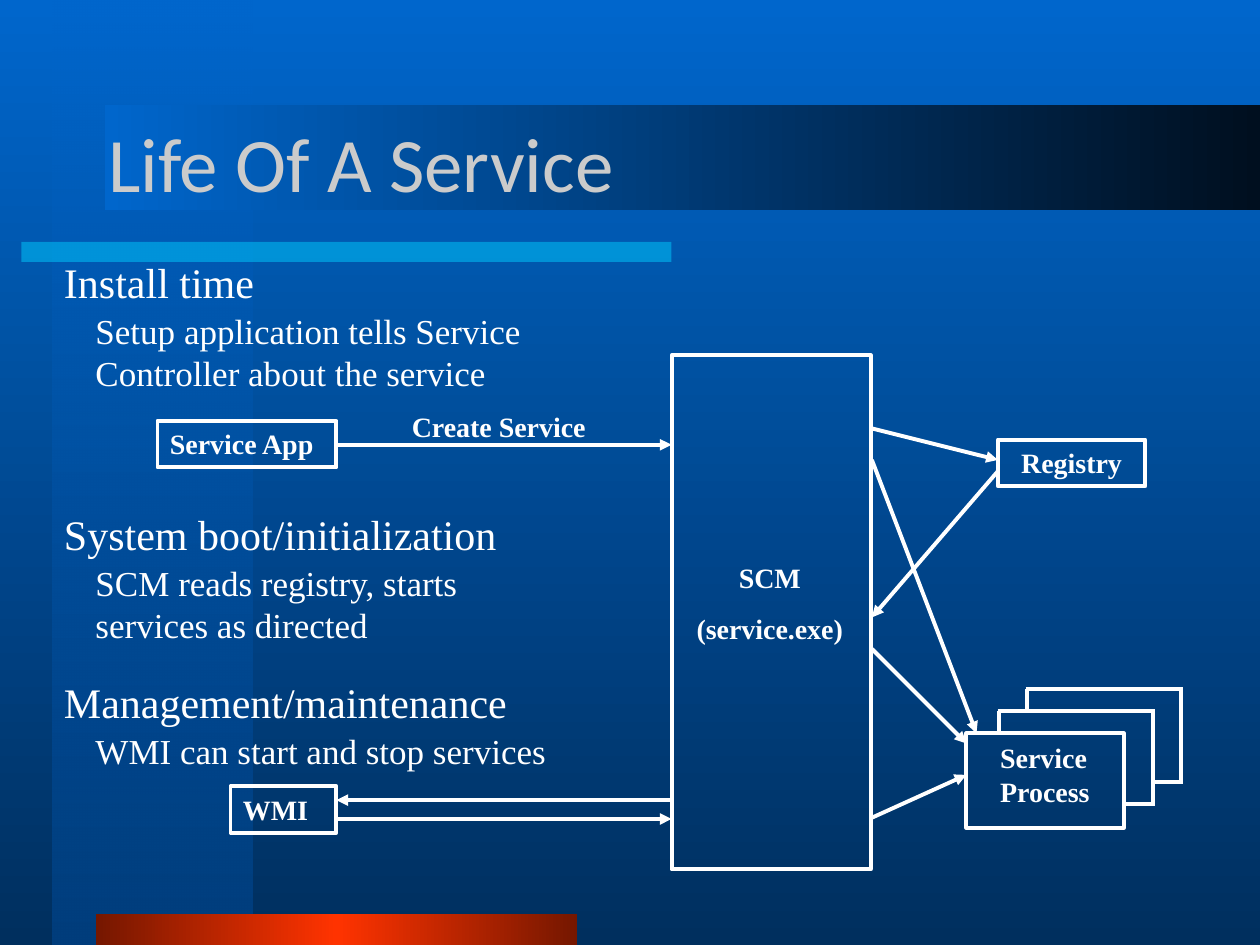
from lxml.etree import SubElement
from pptx import Presentation
from pptx.dml.color import RGBColor
from pptx.enum.shapes import MSO_CONNECTOR as CONNECTOR, MSO_SHAPE as SHAPE
from pptx.enum.text import MSO_ANCHOR as ANCHOR, PP_ALIGN as ALIGN
from pptx.oxml.ns import qn
from pptx.util import Inches, Pt

SERIF = "Times New Roman"
WHITE = "FFFFFF"


def color(hex_code):
    return RGBColor.from_string(hex_code)


def set_alpha(color_element, percent):
    SubElement(color_element, qn("a:alpha")).set("val", str(percent * 1000))


def set_gradient(fill, owner, stops, angle):
    fill.gradient()
    fill.gradient_angle = (360 - angle) % 360
    stop_list = owner.find(".//" + qn("a:gsLst"))
    for old_stop in list(stop_list):
        stop_list.remove(old_stop)
    for position, hex_code, alpha in stops:
        stop = SubElement(stop_list, qn("a:gs"))
        stop.set("pos", str(position * 1000))
        shade = SubElement(stop, qn("a:srgbClr"))
        shade.set("val", hex_code)
        if alpha < 100:
            set_alpha(shade, alpha)


def add_text(frame, lines, size, bold=False, align=ALIGN.LEFT, wrap=True,
             gap=0, font=SERIF, ink=WHITE, anchor=ANCHOR.TOP):
    frame.word_wrap = wrap
    frame.vertical_anchor = anchor
    frame.text = "\n".join(lines)
    for index, paragraph in enumerate(frame.paragraphs):
        paragraph.alignment = align
        if index and gap:
            paragraph.space_before = Pt(gap)
        for run in paragraph.runs:
            run.font.name = font
            run.font.size = Pt(size)
            run.font.bold = bold
            run.font.color.rgb = color(ink)


def add_label(slide, box, lines, size, **style):
    label = slide.shapes.add_textbox(*map(Inches, box))
    add_text(label.text_frame, lines, size, **style)


def add_bar(slide, box):
    bar = slide.shapes.add_shape(SHAPE.RECTANGLE, *map(Inches, box))
    bar.shadow.inherit = False
    bar.line.fill.background()
    return bar


def add_frame(slide, box, lines=(), align=ALIGN.LEFT):
    frame = slide.shapes.add_shape(SHAPE.RECTANGLE, *map(Inches, box))
    frame.shadow.inherit = False
    frame.fill.background()
    frame.line.color.rgb = color(WHITE)
    frame.line.width = Pt(2.25)
    if lines:
        add_text(frame.text_frame, lines, 16, bold=True, align=align)


def add_line(slide, start, end, arrow=False):
    line = slide.shapes.add_connector(
        CONNECTOR.STRAIGHT, *map(Inches, (*start, *end)))
    line.line.color.rgb = color(WHITE)
    line.line.width = Pt(2.25)
    properties = line._element.spPr
    if arrow:
        SubElement(properties.find(qn("a:ln")), qn("a:tailEnd")).set("type", "triangle")
    SubElement(properties, qn("a:effectLst"))


def add_backdrop(slide, box):
    left, top, width, height = box
    set_gradient(slide.background.fill, slide.element,
                 [(0, "0066CC", 100), (100, "002F5E", 100)], 90)
    gradient_bars = [
        ((left + 0.42, top, 1.58, height),
         [(0, "0066CC", 50), (100, "003E7D", 100)], 90),
        ((left + 0.76, top + height - 0.25, 3.82, 0.25),
         [(0, "751700", 100), (50, "FF3300", 100), (100, "751700", 100)], 180),
        ((left + 0.83, top + 0.83, width - 0.83, 0.84),
         [(0, "000F1F", 100), (100, "0066CC", 100)], 180),
    ]
    for bar_box, stops, angle in gradient_bars:
        bar = add_bar(slide, bar_box)
        set_gradient(bar.fill, bar._element, stops, angle)
    underline = add_bar(slide, (left + 0.17, top + 1.92, 5.16, 0.16))
    underline.fill.solid()
    underline.fill.fore_color.rgb = color("00CCFF")
    set_alpha(underline._element.spPr.find(".//" + qn("a:srgbClr")), 50)


def add_phase(slide, box, heading, details):
    left, top, width, height = box
    add_label(slide, (left, top, width, 0.5), [heading], 24)
    add_label(slide, (left + 0.25, top + 0.42, width, height - 0.42), details, 20)


def add_controller(slide, box):
    left, top, width, height = box
    add_label(slide, (left + 0.03, top + 1.58, 1.5, 0.77),
              ["SCM", "(service.exe)"], 16, bold=True, align=ALIGN.CENTER, gap=10)
    add_frame(slide, box)


def add_clients(slide, box):
    left, top, width, height = box
    client_right, right = left + 1.42, left + width
    add_frame(slide, (left, top, 1.42, 0.37), ["Service App"])
    add_line(slide, (client_right, top + 0.19), (right, top + 0.19), arrow=True)
    add_label(slide, (left + 1.92, top - 0.14, 1.67, 0.37),
              ["Create Service"], 16, bold=True)
    wmi_top = top + height - 0.37
    add_frame(slide, (left + 0.58, wmi_top, 0.84, 0.37), ["WMI"])
    add_line(slide, (client_right, wmi_top + 0.26), (right, wmi_top + 0.26), arrow=True)
    add_line(slide, (right, wmi_top + 0.11), (client_right, wmi_top + 0.11), arrow=True)


def add_registry(slide, box, controller_right):
    left, top, width, height = box
    add_frame(slide, box, ["Registry"], align=ALIGN.CENTER)
    add_line(slide, (left, top + 0.25), (controller_right, top + 1.41), arrow=True)
    add_line(slide, (controller_right, top - 0.09), (left, top + 0.16), arrow=True)


def add_processes(slide, box, controller_right):
    left, top, width, height = box
    add_label(slide, (left + 0.17, top + 0.01, 1, 0.64),
              ["Service", "Process"], 16, bold=True)
    add_frame(slide, box)
    for across, up in [(0.25, 0.18), (0.47, 0.35)]:
        x, y = left + across, top - up
        add_line(slide, (x, y), (x + width, y))
        add_line(slide, (x + 0.01, y), (x + 0.01, y + 0.18))
        add_line(slide, (x + 1.23, y), (x + 1.23, y + height))
        add_line(slide, (x + 1, y + 0.74), (x + width, y + 0.74))
    for start, across, down in [(0.67, 0, 0.33), (-0.67, 0, 0.08), (-2.17, 0.08, 0)]:
        add_line(slide, (controller_right, top + start),
                 (left + across, top + down), arrow=True)


def main():
    deck = Presentation()
    deck.slide_width, deck.slide_height = Inches(10), Inches(7.5)
    slide = deck.slides.add_slide(deck.slide_layouts[6])
    add_backdrop(slide, (0, 0, 10, 7.5))
    add_label(slide, (0.76, 0.66, 8.5, 1.25), ["Life Of A Service"], 44,
              font="Calibri", ink="CBCBCB", anchor=ANCHOR.MIDDLE)
    phases = [
        (1.99, 1.18, "Install time",
         ["Setup application tells Service", "Controller about the service"]),
        (3.99, 1.18, "System boot/initialization",
         ["SCM reads registry, starts", "services as directed"]),
        (5.32, 0.86, "Management/maintenance",
         ["WMI can start and stop services"]),
    ]
    for top, height, heading, details in phases:
        add_phase(slide, (0.41, top, 3.9, height), heading, details)
    add_clients(slide, (1.25, 3.34, 4.08, 3.27))
    add_controller(slide, (5.33, 2.82, 1.58, 4.08))
    add_registry(slide, (7.92, 3.49, 1.17, 0.37), 6.92)
    add_processes(slide, (7.67, 5.82, 1.25, 0.75), 6.92)
    deck.save("out.pptx")


if __name__ == "__main__":
    main()
